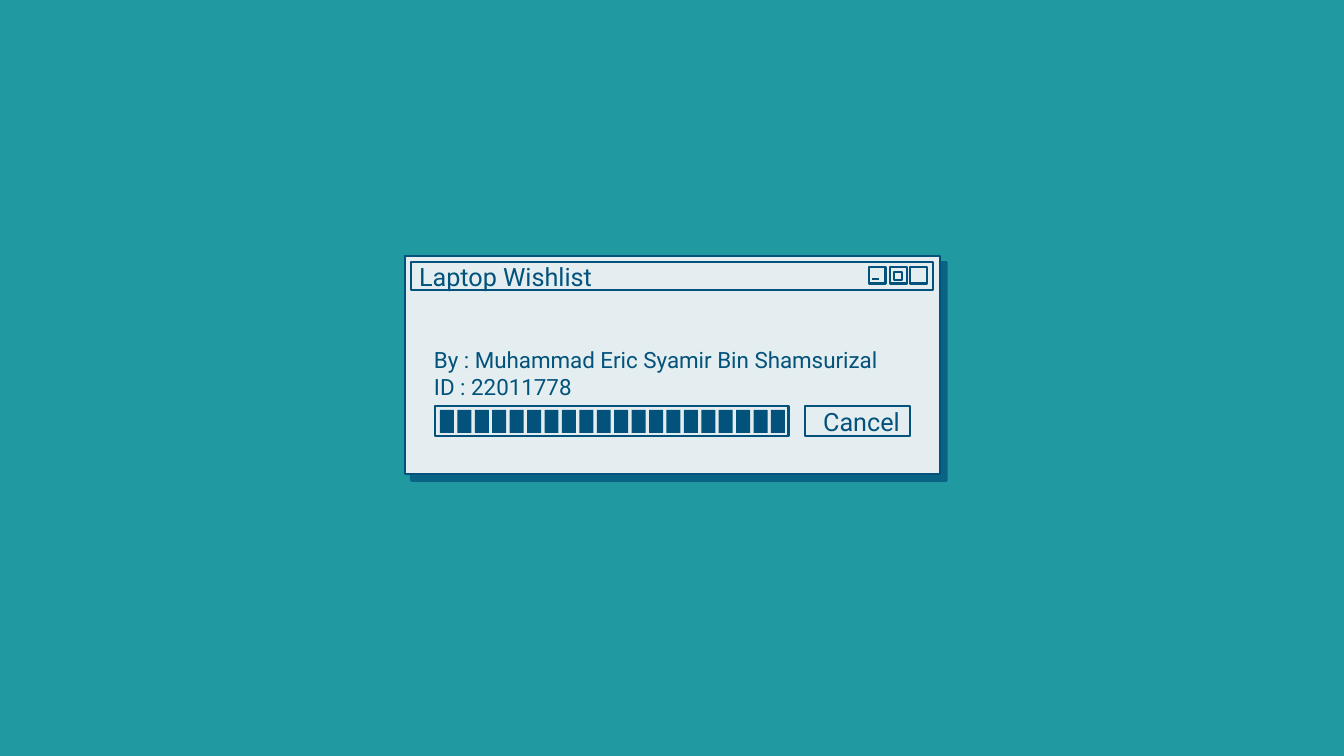
from dataclasses import dataclass

from lxml import etree
from pptx import Presentation
from pptx.dml.color import RGBColor
from pptx.enum.shapes import MSO_CONNECTOR, MSO_SHAPE
from pptx.enum.text import MSO_ANCHOR, MSO_AUTO_SIZE, PP_ALIGN
from pptx.oxml import parse_xml
from pptx.oxml.ns import nsdecls, qn
from pptx.util import Emu, Pt


@dataclass(frozen=True)
class Theme:
    background: RGBColor = RGBColor(0x20, 0x99, 0xA1)
    panel: RGBColor = RGBColor(0xE4, 0xED, 0xEF)
    ink: RGBColor = RGBColor(0x02, 0x52, 0x7C)
    font: str = "Roboto"
    label_size: Pt = Pt(18)
    body_size: Pt = Pt(16)
    line_width: Pt = Pt(2)


THEME = Theme()
EMU_PER_PX = 914400 / 100.8
BLOCK_COUNT = 20
BLOCK_SPAN = 331  # px from the first block's left edge to the last one's


def px(n):
    return Emu(round(n * EMU_PER_PX))


def style_box(sp, fill, outlined=True):
    if fill is None:
        sp.fill.background()
    else:
        sp.fill.solid()
        sp.fill.fore_color.rgb = fill
    if outlined:
        sp.line.color.rgb = THEME.ink
        sp.line.width = THEME.line_width
    else:
        sp.line.fill.background()


def add_box(shapes, x, y, w, h, fill=None, outlined=True):
    sp = shapes.add_shape(MSO_SHAPE.RECTANGLE, px(x), px(y), px(w), px(h))
    sp.shadow.inherit = False
    style_box(sp, fill, outlined)
    return sp


def set_text(sp, text, size, align=PP_ALIGN.LEFT, inset=0,
             anchor=MSO_ANCHOR.MIDDLE, wrap=True):
    tf = sp.text_frame
    tf.text = text
    tf.word_wrap = wrap
    tf.auto_size = MSO_AUTO_SIZE.NONE
    tf.vertical_anchor = anchor
    tf.margin_left = px(inset)
    tf.margin_top = tf.margin_right = tf.margin_bottom = 0
    for p in tf.paragraphs:
        p.alignment = align
        for r in p.runs:
            r.font.name = THEME.font
            r.font.size = size
            r.font.color.rgb = THEME.ink


def add_hard_shadow(sp):
    """Give the shape an unblurred shadow down and to the right."""
    effects = sp._element.spPr.find(qn("a:effectLst"))
    effects.append(parse_xml(
        f'<a:outerShdw {nsdecls("a")} blurRad="0" dist="{Pt(6.5)}" '
        f'dir="2700000" algn="tl" rotWithShape="0"><a:srgbClr val="{THEME.ink}">'
        '<a:alpha val="75000"/></a:srgbClr></a:outerShdw>'))


def add_title_bar(slide):
    title = slide.shapes.title
    title.left, title.top, title.width, title.height = map(px, (411, 262, 522, 28))
    style_box(title, THEME.panel)
    set_text(title, "Laptop Wishlist", THEME.label_size, inset=8)
    slide.shapes._spTree.append(title._element)  # in front of the window


def add_window_controls(slide):
    shapes = slide.shapes.add_group_shape().shapes
    for x in (910, 890, 869):
        add_box(shapes, x, 267, 17, 17)
    add_box(shapes, 894, 272, 8, 8)
    dash = shapes.add_connector(MSO_CONNECTOR.STRAIGHT,
                                px(879), px(279), px(872), px(279))
    dash.line.color.rgb = THEME.ink
    dash.line.width = THEME.line_width
    etree.SubElement(dash._element.spPr, qn("a:effectLst"))


def add_progress_bar(slide):
    add_box(slide.shapes, 435, 406, 354, 30)
    for i in range(BLOCK_COUNT):
        x = 440 + i * BLOCK_SPAN / (BLOCK_COUNT - 1)
        add_box(slide.shapes, x, 410, 14, 23, THEME.ink, outlined=False)


def main():
    prs = Presentation()
    prs.slide_width, prs.slide_height = px(1344), px(756)
    slide = prs.slides.add_slide(prs.slide_layouts[5])
    slide.background.fill.solid()
    slide.background.fill.fore_color.rgb = THEME.background

    window = add_box(slide.shapes, 405, 256, 535, 218, THEME.panel)
    add_hard_shadow(window)
    add_title_bar(slide)
    add_window_controls(slide)

    cancel = add_box(slide.shapes, 805, 406, 105, 30, THEME.panel)
    set_text(cancel, "Cancel", THEME.label_size, PP_ALIGN.CENTER, inset=8)
    add_progress_bar(slide)

    author = slide.shapes.add_textbox(px(434), px(346), px(464), px(54))
    set_text(author, "By : Muhammad Eric Syamir Bin Shamsurizal\nID : 22011778",
             THEME.body_size, anchor=MSO_ANCHOR.TOP)
    prs.save("out.pptx")


if __name__ == "__main__":
    main()
